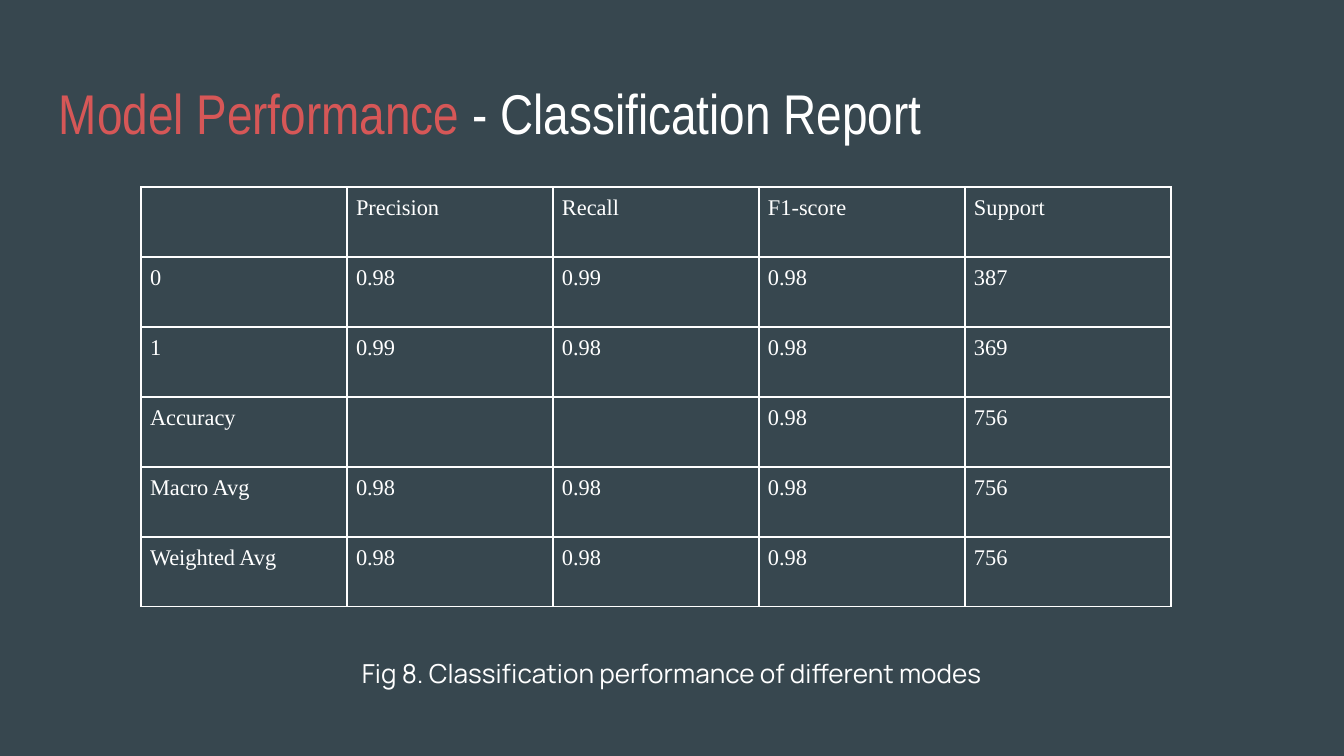
"""Build the classification report slide."""
from lxml.etree import SubElement
from pptx import Presentation
from pptx.dml.color import RGBColor
from pptx.enum.text import MSO_ANCHOR, PP_ALIGN
from pptx.oxml.ns import qn
from pptx.util import Emu, Pt

SLATE = RGBColor(0x37, 0x47, 0x4F)
CORAL = RGBColor(0xD6, 0x57, 0x57)
WHITE = RGBColor(0xFF, 0xFF, 0xFF)
EMU_PER_PX = 9144000 / 1344

REPORT = [
    ["", "Precision", "Recall", "F1-score", "Support"],
    ["0", "0.98", "0.99", "0.98", "387"],
    ["1", "0.99", "0.98", "0.98", "369"],
    ["Accuracy", "", "", "0.98", "756"],
    ["Macro Avg", "0.98", "0.98", "0.98", "756"],
    ["Weighted Avg", "0.98", "0.98", "0.98", "756"],
]


def px(length):
    return Emu(round(length * EMU_PER_PX))


class SlideBuilder:
    title_font = "Arial Narrow"
    caption_font = "Manrope"
    table_font = "Times New Roman"

    def __init__(self, presentation):
        self.slide = presentation.slides.add_slide(presentation.slide_layouts[6])
        fill = self.slide.background.fill
        fill.solid()
        fill.fore_color.rgb = SLATE

    def text(self, left, top, width, height, runs, font, size, align=PP_ALIGN.LEFT):
        shape = self.slide.shapes.add_textbox(px(left), px(top), px(width), px(height))
        frame = shape.text_frame
        frame.word_wrap = True
        frame.vertical_anchor = MSO_ANCHOR.TOP
        frame.margin_left = frame.margin_right = px(13)
        frame.margin_top = frame.margin_bottom = px(13)
        paragraph = frame.paragraphs[0]
        paragraph.alignment = align
        paragraph.font.name = font
        paragraph.font.size = Pt(size)
        for words, color in runs:
            run = paragraph.add_run()
            run.text = words
            run.font.color.rgb = color

    def table(self, left, top, column_width, row_height, rows):
        row_count, column_count = len(rows), len(rows[0])
        table = self.slide.shapes.add_table(
            row_count, column_count, px(left), px(top),
            px(column_width * column_count), px(row_height * row_count)).table
        table.first_row = table.horz_banding = False
        for column in table.columns:
            column.width = px(column_width)
        for row, values in zip(table.rows, rows):
            row.height = px(row_height)
            for cell, value in zip(row.cells, values):
                self.cell(cell, value)

    def cell(self, cell, value):
        cell.margin_left = cell.margin_right = px(9)
        cell.margin_top = cell.margin_bottom = px(9)
        cell.text = value
        font = cell.text_frame.paragraphs[0].font
        font.name = self.table_font
        font.size = Pt(12)
        font.color.rgb = WHITE
        properties = cell._tc.get_or_add_tcPr()
        for side in ("a:lnL", "a:lnR", "a:lnT", "a:lnB"):
            line = SubElement(properties, qn(side), w=str(Pt(1)))
            fill = SubElement(line, qn("a:solidFill"))
            SubElement(fill, qn("a:srgbClr"), val=str(WHITE))
        cell.fill.background()


def main():
    presentation = Presentation()
    presentation.slide_width = px(1344)
    presentation.slide_height = px(756)
    builder = SlideBuilder(presentation)
    builder.text(46, 66, 1252, 85,
                 [("Model Performance", CORAL), (" - Classification Report", WHITE)],
                 builder.title_font, 30)
    builder.text(205, 644, 934, 59,
                 [("Fig 8. Classification performance of different modes", WHITE)],
                 builder.caption_font, 14, PP_ALIGN.CENTER)
    builder.table(141, 187, 206, 70, REPORT)
    presentation.save("out.pptx")


if __name__ == "__main__":
    main()
